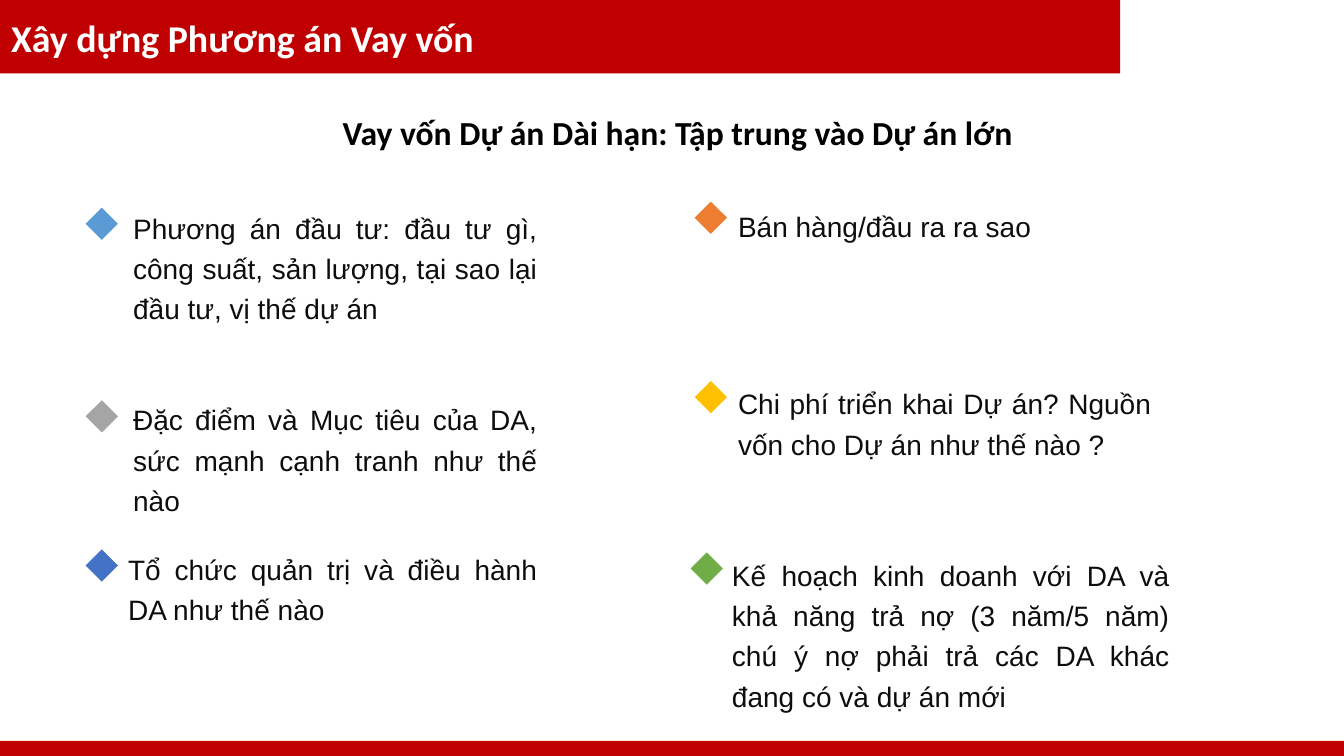
import pptx
import pptx.dml.color
import pptx.enum.shapes
import pptx.enum.text
import pptx.util

Inches = pptx.util.Inches
Shape = pptx.enum.shapes.MSO_SHAPE
Align = pptx.enum.text.PP_ALIGN

COLORS = {
    "red": "C00000", "white": "FFFFFF", "black": "000000", "ink": "0D0D0D",
    "blue": "5B9BD5", "gray": "A5A5A5", "navy": "4472C4",
    "orange": "ED7D31", "gold": "FFC000", "green": "70AD47",
}


def add_filled(kind, left, top, width, height, color):
    shape = slide.shapes.add_shape(
        kind, Inches(left), Inches(top), Inches(width), Inches(height))
    shape.shadow.inherit = False
    shape.fill.solid()
    shape.fill.fore_color.rgb = pptx.dml.color.RGBColor.from_string(COLORS[color])
    shape.line.fill.background()


def write(text, box, left, top, width, height, size, font="Calibri", color="black",
          bold=False, align=Align.LEFT, spacing=1.0, inset=(0.1, 0.05)):
    """Place the box and fill it with one formatted paragraph."""
    box.left, box.top = Inches(left), Inches(top)
    box.width, box.height = Inches(width), Inches(height)
    frame = box.text_frame
    frame.word_wrap = True
    frame.auto_size = pptx.enum.text.MSO_AUTO_SIZE.NONE
    frame.vertical_anchor = pptx.enum.text.MSO_ANCHOR.TOP
    frame.margin_left = frame.margin_right = Inches(inset[0])
    frame.margin_top = frame.margin_bottom = Inches(inset[1])
    frame.text = text
    paragraph = frame.paragraphs[0]
    paragraph.alignment = align
    paragraph.line_spacing = spacing
    paragraph.font.size = pptx.util.Pt(size)
    paragraph.font.name = font
    paragraph.font.bold = bold
    paragraph.font.color.rgb = pptx.dml.color.RGBColor.from_string(COLORS[color])


deck = pptx.Presentation()
deck.slide_width, deck.slide_height = Inches(13.33), Inches(7.5)
slide = deck.slides.add_slide(deck.slide_layouts[5])

# Red header and footer bands, with the title above the header
add_filled(Shape.RECTANGLE, 0, 0, 11.11, 0.73, "red")
add_filled(Shape.RECTANGLE, 0, 7.35, 13.33, 0.15, "red")
heading = slide.shapes.title
slide.shapes.element.append(heading.element)
write("Xây dựng Phương án Vay vốn", heading, 0.01, 0.1, 10.73, 0.56, 27,
      color="white", bold=True)

subheading = slide.shapes.add_textbox(0, 0, 0, 0)
write("Vay vốn Dự án Dài hạn: Tập trung vào Dự án lớn", subheading,
      3.3, 1.06, 6.9, 0.5, 24, bold=True)

# Marker colour, marker left and top, then text left, top, width, height
topics = [
    ("blue", 0.85, 2.06, 1.27, 2, 4.11, 1.23, Align.JUSTIFY,
     "Phương án đầu tư: đầu tư gì, công suất, sản lượng, tại sao lại đầu tư, "
     "vị thế dự án"),
    ("gray", 0.85, 3.97, 1.27, 3.9, 4.11, 1.23, Align.JUSTIFY,
     "Đặc điểm và Mục tiêu của DA, sức mạnh cạnh tranh như thế nào"),
    ("navy", 0.85, 5.45, 1.22, 5.38, 4.16, 0.82, Align.JUSTIFY,
     "Tổ chức quản trị và điều hành DA như thế nào"),
    ("orange", 6.89, 2, 7.27, 1.98, 4.64, 0.42, Align.LEFT,
     "Bán hàng/đầu ra ra sao"),
    ("gold", 6.89, 3.78, 7.27, 3.74, 4.2, 0.82, Align.JUSTIFY,
     "Chi phí triển khai Dự án? Nguồn vốn cho Dự án như thế nào ?"),
    ("green", 6.85, 5.48, 7.21, 5.44, 4.44, 1.63, Align.JUSTIFY,
     "Kế hoạch kinh doanh với DA và khả năng trả nợ (3 năm/5 năm) "
     "chú ý nợ phải trả các DA khác đang có và dự án mới"),
]
for color, marker_left, marker_top, left, top, width, height, align, text in topics:
    add_filled(Shape.DIAMOND, marker_left, marker_top, 0.32, 0.32, color)
    topic = slide.shapes.add_textbox(0, 0, 0, 0)
    write(text, topic, left, top, width, height, 20, font="Arial", color="ink",
          align=align, spacing=1.2, inset=(0.05, 0.03))

deck.save("out.pptx")
